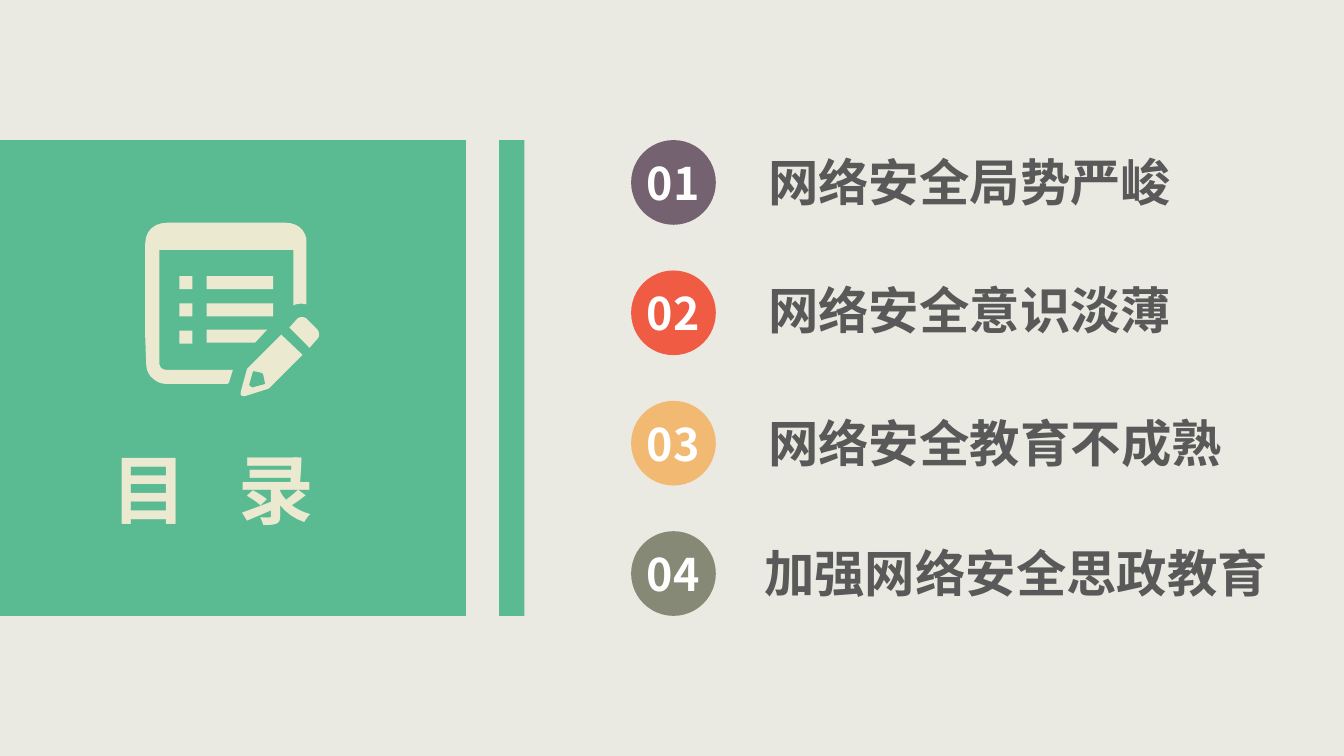
"""Build the contents slide of a talk on network security education."""
from lxml import etree
from pptx import Presentation
from pptx.dml.color import RGBColor
from pptx.enum import shapes, text
from pptx.oxml import ns
from pptx.util import Inches, Pt

FONT = "Noto Sans CJK SC"
PAPER, GREEN, CREAM, GREY, WHITE = "EBEAE2", "5ABB93", "EBE9D0", "595959", "FFFFFF"
TITLE = "目 录"
ITEMS = [
    ("01", "756271", "网络安全局势严峻", 7.52, 1.45, 4.24),
    ("02", "EF5B43", "网络安全意识淡薄", 7.52, 2.72, 4.24),
    ("03", "F2B973", "网络安全教育不成熟", 7.52, 4.04, 4.75),
    ("04", "858976", "加强网络安全思政教育", 7.48, 5.33, 5.25),
]
PANELS = [(0, 4.62), (4.95, 0.25)]
PANEL_TOP, PANEL_HEIGHT = 1.39, 4.72
DISC = 0.84
DISC_LEFT = 6.26

# Each contour lists line ends (x, y) and cubic curves (x1, y1, x2, y2, x, y).
PAGE = [[
    (2.31, 3.67), (2.27, 3.8), (2.25, 3.81), (1.66, 3.81),
    (1.62, 3.81, 1.58, 3.8, 1.55, 3.78), (1.48, 3.74, 1.45, 3.68, 1.45, 3.6),
    (1.44, 3.33), (1.44, 2.42), (1.44, 2.29, 1.53, 2.21, 1.66, 2.21),
    (2.83, 2.21), (2.94, 2.21, 3.02, 2.27, 3.04, 2.37), (3.04, 3.02),
    (3, 3.01, 2.95, 3.01, 2.91, 3.03), (2.91, 2.48), (1.58, 2.48), (1.58, 3.59),
    (1.58, 3.64, 1.6, 3.67, 1.66, 3.67),
]]
PENCIL = [
    [(2.79, 3.32), (3, 3.52), (2.68, 3.84), (2.67, 3.85, 2.66, 3.86, 2.65, 3.86),
     (2.43, 3.93), (2.42, 3.93, 2.4, 3.93, 2.39, 3.92),
     (2.38, 3.91, 2.39, 3.9, 2.39, 3.88), (2.45, 3.66), (2.47, 3.64)],
    [(2.51, 3.68), (2.47, 3.82), (2.49, 3.84, 2.5, 3.85, 2.52, 3.84),
     (2.63, 3.81), (2.61, 3.71), (2.6, 3.7)],
]
ERASER = [[
    (2.87, 3.25), (2.95, 3.16), (2.98, 3.14, 3.01, 3.14, 3.04, 3.16),
    (3.15, 3.27), (3.17, 3.3, 3.17, 3.34, 3.15, 3.36), (3.07, 3.45),
]]
CUT_LINE = [[(2.05, 3.27), (2.65, 3.27), (2.53, 3.4), (2.05, 3.4)]]
LIST_TOP, LIST_PITCH, LIST_THICK = 2.74, 0.27, 0.13
BULLET_LEFT, LINE_LEFT, LINE_WIDTH = 1.78, 2.05, 0.66


def color(value):
    return RGBColor.from_string(value)


def paint(sp, fill):
    sp.fill.solid()
    sp.fill.fore_color.rgb = color(fill)
    sp.line.fill.background()
    sp.shadow.inherit = False
    return sp


def add_block(s, kind, left, top, width, height, fill):
    box = map(Inches, (left, top, width, height))
    return paint(s.shapes.add_shape(kind, *box), fill)


def flatten(contour, steps=6):
    """Turn a contour into points in EMU, sampling its curves."""
    points = []
    for node in contour:
        if len(node) == 2:
            points.append(node)
            continue
        ends = [points[-1], node[:2], node[2:4], node[4:]]
        for i in range(1, steps + 1):
            t = i / steps
            weights = ((1 - t) ** 3, 3 * t * (1 - t) ** 2, 3 * t * t * (1 - t), t ** 3)
            points.append(tuple(sum(w * e[axis] for w, e in zip(weights, ends))
                                for axis in (0, 1)))
    return [(Inches(x), Inches(y)) for x, y in points]


def add_outline(s, contours, fill):
    first, *holes = map(flatten, contours)
    builder = s.shapes.build_freeform(*first[0])
    builder.add_line_segments(first[1:], close=True)
    for hole in holes:
        builder.move_to(*hole[0])
        builder.add_line_segments(hole[1:], close=True)
    paint(builder.convert_to_shape(), fill)


def write(sp, words, size, fill, align=text.PP_ALIGN.LEFT):
    tf = sp.text_frame
    tf.text = words
    p = tf.paragraphs[0]
    p.alignment = align
    p.font.size, p.font.bold, p.font.name = Pt(size), True, FONT
    p.font.color.rgb = color(fill)
    latin = p._p.pPr.find(ns.qn("a:defRPr")).find(ns.qn("a:latin"))
    ea = etree.Element(ns.qn("a:ea"), typeface=FONT)
    latin.addnext(ea)
    return tf


def add_icon(s):
    for outline in (PAGE, PENCIL, ERASER, CUT_LINE):
        add_outline(s, outline, CREAM)
    rect = shapes.MSO_SHAPE.RECTANGLE
    for row in range(3):
        top = LIST_TOP + row * LIST_PITCH
        add_block(s, rect, BULLET_LEFT, top, LIST_THICK, LIST_THICK, CREAM)
        if row < 2:
            add_block(s, rect, LINE_LEFT, top, LINE_WIDTH, LIST_THICK, CREAM)


def add_title(s):
    title = s.shapes.title
    s.shapes._spTree.append(title._element)
    title.left, title.top, title.width, title.height = map(Inches, (1.01, 4.34, 2.8, 1.01))
    tf = write(title, TITLE, 54, CREAM)
    tf.auto_size = text.MSO_AUTO_SIZE.NONE
    tf.vertical_anchor = text.MSO_ANCHOR.TOP
    tf.paragraphs[0].runs[0].font._element.set("spc", "1200")


def add_items(s):
    pitch = (PANEL_HEIGHT - DISC) / (len(ITEMS) - 1)
    for i, (number, fill, words, left, top, width) in enumerate(ITEMS):
        disc = add_block(s, shapes.MSO_SHAPE.OVAL, DISC_LEFT, PANEL_TOP + i * pitch,
                         DISC, DISC, fill)
        tf = write(disc, number, 32, WHITE, text.PP_ALIGN.CENTER)
        tf.margin_left = tf.margin_right = tf.margin_top = tf.margin_bottom = 0
        tf.vertical_anchor = text.MSO_ANCHOR.MIDDLE
        tf.word_wrap = False
        label = s.shapes.add_textbox(*map(Inches, (left, top, width, 0.71)))
        write(label, words, 36, GREY).word_wrap = False


def main():
    prs = Presentation()
    prs.slide_width, prs.slide_height = Inches(13.33), Inches(7.5)
    s = prs.slides.add_slide(prs.slide_layouts[5])
    s.background.fill.solid()
    s.background.fill.fore_color.rgb = color(PAPER)
    for left, width in PANELS:
        add_block(s, shapes.MSO_SHAPE.RECTANGLE, left, PANEL_TOP, width, PANEL_HEIGHT, GREEN)
    add_icon(s)
    add_title(s)
    add_items(s)
    prs.save("out.pptx")


if __name__ == "__main__":
    main()
